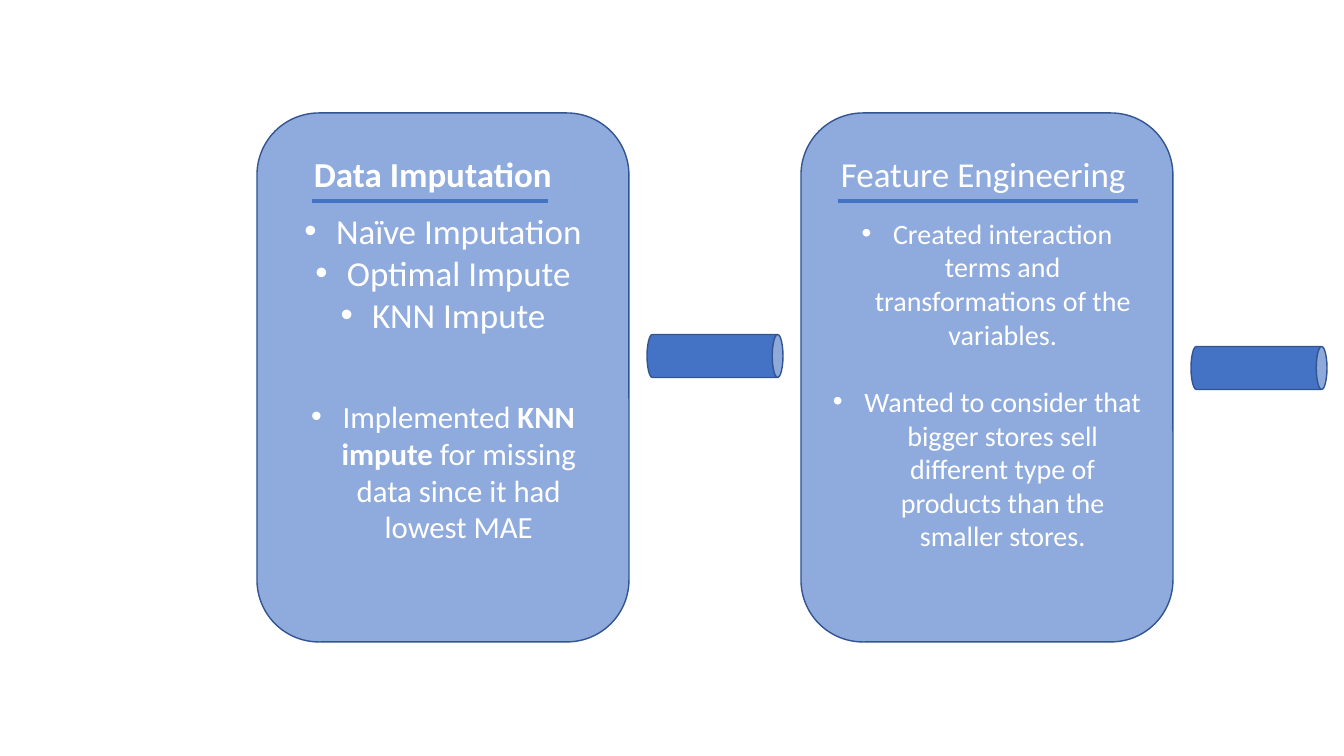
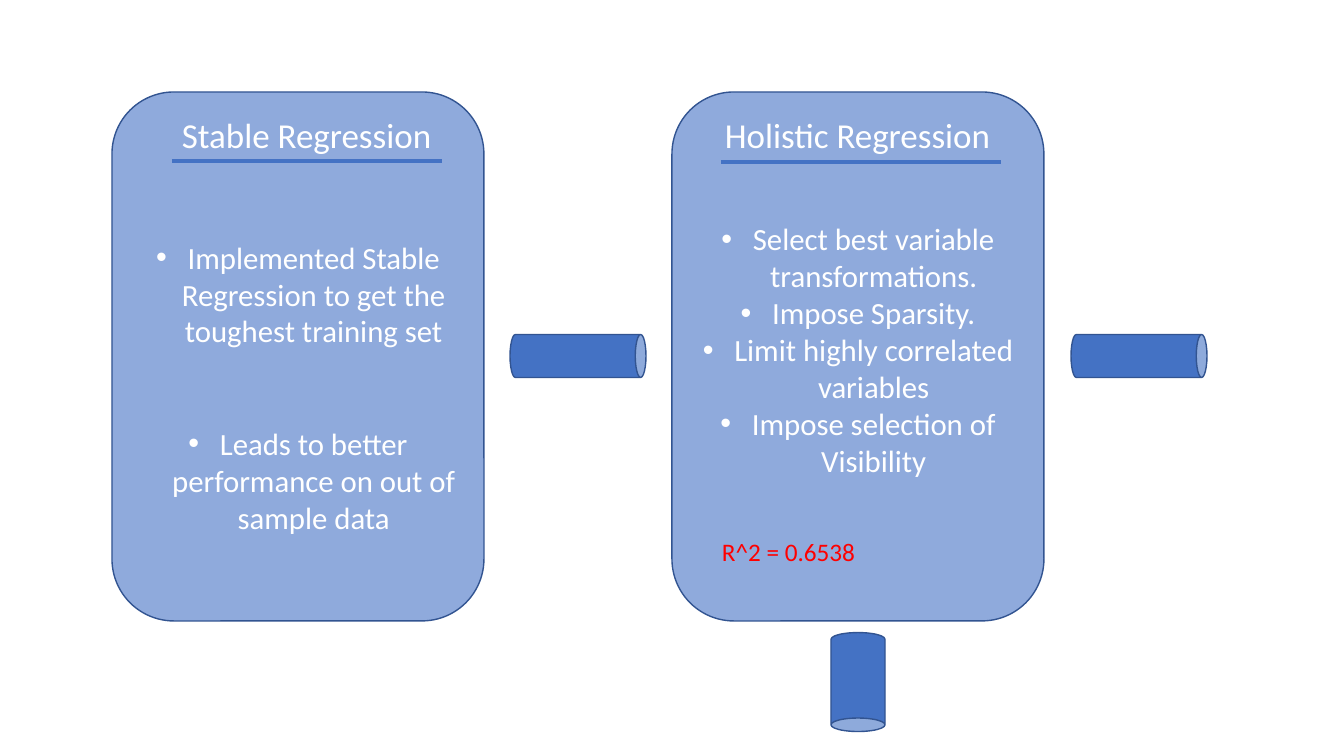
"""Build two slides of process cards joined by pipes."""
from dataclasses import dataclass

from lxml import etree
from pptx import Presentation, util as u
from pptx.dml.color import RGBColor
from pptx.enum import shapes, text
from pptx.oxml import ns


@dataclass(frozen=True)
class Theme:
    font: str = "Calibri"
    bullet_font: str = "Arial"
    card: str = "8FAADC"
    accent: str = "4472C4"
    outline: str = "325491"
    ink: str = "FFFFFF"
    result: str = "FF0000"
    heading_size: int = 25
    body_size: int = 22
    compact_size: int = 20
    result_size: int = 18
    outline_width: int = 1
    rule_width: int = 3


THEME = Theme()
PIXEL = u.Inches(1) / 100.8
SLIDE_SIZE = (1344, 756)
CARD_SIZE = (372, 529)
PIPE_SIZE = (43, 136)
DOWN_PIPE_SIZE = (54, 99)
HEADING_HEIGHT, RESULT_HEIGHT = 52, 40
INSET_X, INSET_Y = 10, 5
HANG = 31.5

SLIDES = [
    {
        "top": 113,
        "heading_offset": 35,
        "cards": [
            {
                "left": 257, "drop": 0,
                "heading": ("Data Imputation", True),
                "heading_span": (304, 263), "rule": (312, 548, 201),
                "bullets": [
                    (THEME.heading_size, 0, [("Naïve Imputation", False)]),
                    (THEME.heading_size, 0, [("Optimal Impute", False)]),
                    (THEME.heading_size, 0, [("KNN Impute", False)]),
                    (THEME.body_size, 44, [
                        ("Implemented ", False), ("KNN impute ", True),
                        ("for missing data since it had lowest MAE", False)]),
                ],
            },
            {
                "left": 801, "drop": 14,
                "heading": ("Feature Engineering", False),
                "heading_span": (831, 329), "rule": (838, 1138, 201),
                "bullets": [
                    (THEME.compact_size, 0, [
                        ("Created interaction terms and transformations of the variables.", False)]),
                    (THEME.compact_size, 24, [
                        ("Wanted to consider that bigger stores sell different type of "
                         "products than the smaller stores.", False)]),
                ],
            },
        ],
        "pipes": [(715, 356, PIPE_SIZE, 90), (1259, 368, PIPE_SIZE, 90)],
        "results": [],
    },
    {
        "top": 92,
        "heading_offset": 17,
        "cards": [
            {
                "left": 112, "drop": 61,
                "heading": ("Stable Regression", False),
                "heading_span": (172, 415), "rule": (172, 442, 161),
                "bullets": [
                    (THEME.body_size, 0, [
                        ("Implemented Stable Regression to get the toughest training set", False)]),
                    (THEME.body_size, 54, [
                        ("Leads to better performance on out of sample data", False)]),
                ],
            },
            {
                "left": 672, "drop": -14,
                "heading": ("Holistic Regression", False),
                "heading_span": (715, 293), "rule": (721, 1001, 162),
                "bullets": [
                    (THEME.body_size, 0, [("Select best variable transformations.", False)]),
                    (THEME.body_size, 0, [("Impose Sparsity.", False)]),
                    (THEME.body_size, 0, [("Limit highly correlated variables", False)]),
                    (THEME.body_size, 0, [("Impose selection of Visibility", False)]),
                ],
            },
        ],
        "pipes": [(578, 356, PIPE_SIZE, 90), (858, 682, DOWN_PIPE_SIZE, 180),
                  (1139, 356, PIPE_SIZE, 90)],
        "results": [("R^2 = 0.6538", 712, 531, 211)],
    },
]


def px(*values):
    return [u.Emu(round(value * PIXEL)) for value in values]


def add_run(paragraph, words, size, color=THEME.ink, bold=False):
    run = paragraph.add_run()
    run.text = words
    run.font.name, run.font.size, run.font.bold = THEME.font, u.Pt(size), bold
    run.font.color.rgb = RGBColor.from_string(color)


def add_preset(slide, kind, box, fill):
    shape = slide.shapes.add_shape(kind, *px(*box))
    shape.shadow.inherit = False
    shape.fill.solid()
    shape.fill.fore_color.rgb = RGBColor.from_string(fill)
    shape.line.color.rgb = RGBColor.from_string(THEME.outline)
    shape.line.width = u.Pt(THEME.outline_width)
    return shape


def add_label(slide, words, box, size, color=THEME.ink, bold=False):
    frame = slide.shapes.add_textbox(*px(*box)).text_frame
    frame.word_wrap = True
    frame.auto_size = text.MSO_AUTO_SIZE.SHAPE_TO_FIT_TEXT
    add_run(frame.paragraphs[0], words, size, color, bold)


def add_bullet(paragraph):
    properties = paragraph._p.get_or_add_pPr()
    hang = px(HANG)[0]
    properties.set("marL", str(hang))
    properties.set("indent", str(-hang))
    etree.SubElement(properties, ns.qn("a:buFont"), typeface=THEME.bullet_font)
    etree.SubElement(properties, ns.qn("a:buChar"), char="•")


def add_rule(slide, start, end, y):
    rule = slide.shapes.add_connector(shapes.MSO_CONNECTOR.STRAIGHT, *px(start, y, end, y))
    rule.line.color.rgb = RGBColor.from_string(THEME.accent)
    rule.line.width = u.Pt(THEME.rule_width)
    etree.SubElement(rule._element.spPr, ns.qn("a:effectLst"))


def add_card(slide, card, top, heading_offset):
    shape = add_preset(slide, shapes.MSO_SHAPE.ROUNDED_RECTANGLE,
                       (card["left"], top, *CARD_SIZE), THEME.card)
    frame = shape.text_frame
    frame.word_wrap = True
    frame.vertical_anchor = text.MSO_ANCHOR.MIDDLE
    frame.margin_left, frame.margin_right = px(INSET_X, INSET_X)
    frame.margin_top, frame.margin_bottom = px(
        INSET_Y + max(card["drop"], 0), INSET_Y + max(-card["drop"], 0))
    for index, (size, gap, runs) in enumerate(card["bullets"]):
        paragraph = frame.add_paragraph() if index else frame.paragraphs[0]
        paragraph.alignment = text.PP_ALIGN.CENTER
        paragraph.space_before = u.Pt(gap)
        add_bullet(paragraph)
        for words, bold in runs:
            add_run(paragraph, words, size, bold=bold)
    words, bold = card["heading"]
    left, width = card["heading_span"]
    add_label(slide, words, (left, top + heading_offset, width, HEADING_HEIGHT),
              THEME.heading_size, bold=bold)
    add_rule(slide, *card["rule"])


def add_pipe(slide, center_x, center_y, size, rotation):
    width, height = size
    box = (center_x - width / 2, center_y - height / 2, width, height)
    add_preset(slide, shapes.MSO_SHAPE.CAN, box, THEME.accent).rotation = rotation


def build():
    presentation = Presentation()
    presentation.slide_width, presentation.slide_height = px(*SLIDE_SIZE)
    blank = presentation.slide_layouts.get_by_name("Blank")
    for content in SLIDES:
        slide = presentation.slides.add_slide(blank)
        for card in content["cards"]:
            add_card(slide, card, content["top"], content["heading_offset"])
        for pipe in content["pipes"]:
            add_pipe(slide, *pipe)
        for words, left, top, width in content["results"]:
            add_label(slide, words, (left, top, width, RESULT_HEIGHT),
                      THEME.result_size, THEME.result)
    presentation.save("out.pptx")


build()
